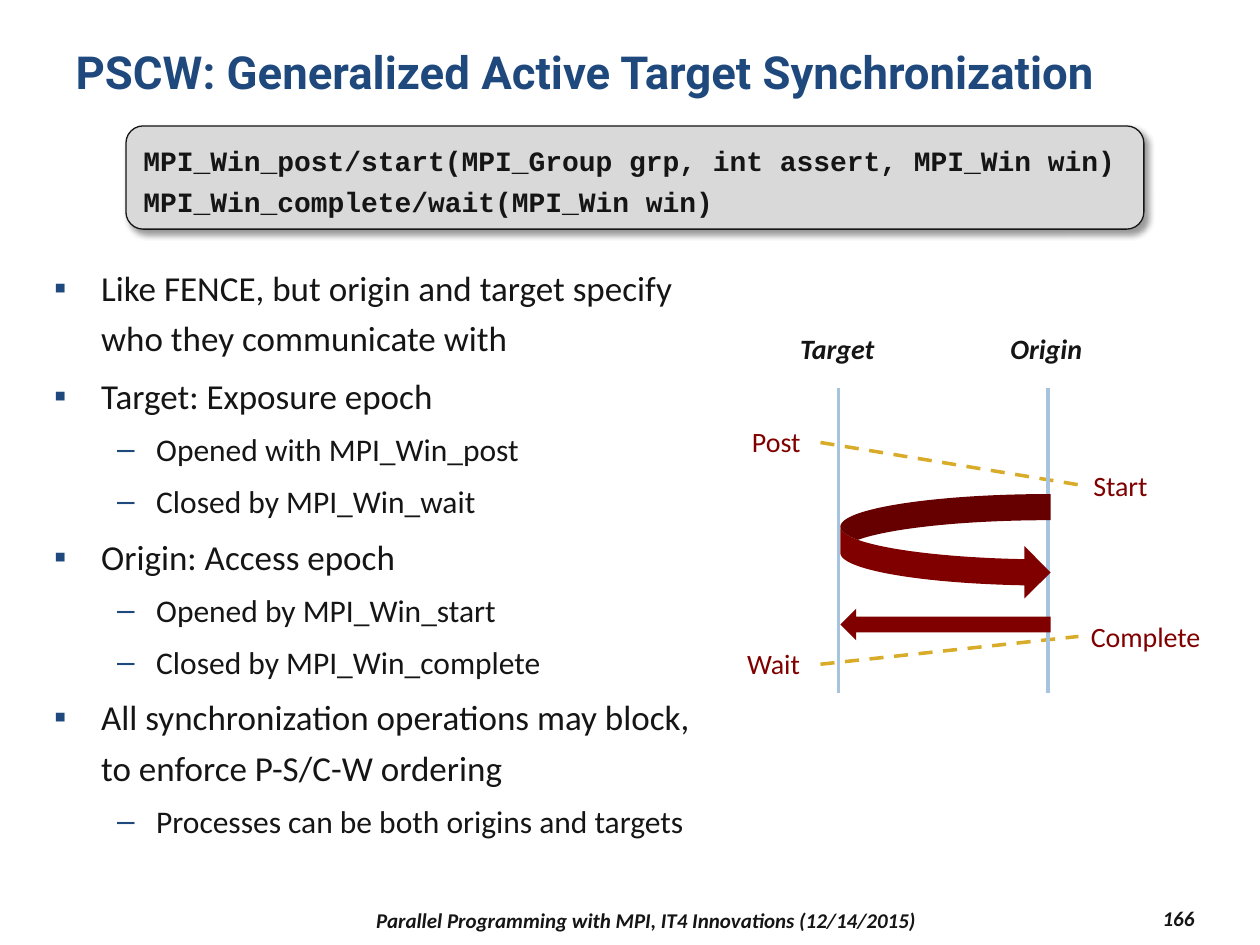
from lxml.etree import SubElement as Sub
from pptx import Presentation
from pptx.dml.color import RGBColor as Rgb
from pptx.enum.dml import MSO_LINE as Dash
from pptx.enum.shapes import MSO_CONNECTOR as Link, MSO_SHAPE as Kind
from pptx.enum.text import MSO_ANCHOR as Anchor, PP_ALIGN as Align
from pptx.oxml.ns import qn
from pptx.util import Cm, Pt

HUES = {"navy": "1F497D", "ink": "151515", "red": "800000",
        "gold": "D8AC28", "sky": "A6C4DE", "gray": "D9D9D9", "black": "000000"}
LEVELS = (("▪", 0.95, -0.95, 20), ("–", 2.06, -0.79, 18))
POINTS = (
    (0, "Like FENCE, but origin and target specify who they communicate with"),
    (0, "Target: Exposure epoch"),
    (1, "Opened with MPI_Win_post"),
    (1, "Closed by MPI_Win_wait"),
    (0, "Origin: Access epoch"),
    (1, "Opened by MPI_Win_start"),
    (1, "Closed by MPI_Win_complete"),
    (0, "All synchronization operations may block, to enforce P-S/C-W ordering"),
    (1, "Processes can be both origins and targets"),
)
CALLS = ("MPI_Win_post/start(MPI_Group grp, int assert, MPI_Win win)\n"
         "MPI_Win_complete/wait(MPI_Win win)")
FOOT = "Parallel Programming with MPI, IT4 Innovations (12/14/2015)"


def hue(name):
    """Return the named colour."""
    return Rgb.from_string(HUES[name])


def style(para, size, tint="ink", face="Calibri", bold=False, slant=False):
    """Format every run of a paragraph."""
    for run in para.runs:
        font = run.font
        font.name, font.size = face, Pt(size)
        font.bold, font.italic = bold, slant
        font.color.rgb = hue(tint)


def title(slide, text):
    """Place and format the title."""
    head = slide.shapes.title
    head.left, head.top, head.width, head.height = Cm(1.27), Cm(0.76), Cm(22.86), Cm(2.21)
    frame = head.text_frame
    frame.text = text
    frame.vertical_anchor = Anchor.TOP
    para = frame.paragraphs[0]
    para.alignment = Align.LEFT
    style(para, 26, "navy", "Roboto", True)


def label(slide, text, box, size=16, tint="ink", bold=False,
          align=Align.LEFT, anchor=Anchor.TOP, wrap=True):
    """Add a one-line text box, with bold text also slanted."""
    frame = slide.shapes.add_textbox(*map(Cm, box)).text_frame
    frame.text = text
    frame.word_wrap = wrap
    frame.vertical_anchor = anchor
    para = frame.paragraphs[0]
    para.alignment = align
    style(para, size, tint, bold=bold, slant=bold)


def bullet(para, level):
    """Give a paragraph the indent and mark of its level."""
    mark, left, hang, size = LEVELS[level]
    para.level = level
    props = para._p.get_or_add_pPr()
    props.set("marL", str(Cm(left)))
    props.set("indent", str(Cm(hang)))
    Sub(Sub(props, qn("a:buClr")), qn("a:srgbClr"), val=HUES["navy"])
    Sub(props, qn("a:buFont"), typeface="Arial")
    Sub(props, qn("a:buChar"), char=mark)
    para.line_spacing = 1.2
    style(para, size)


def outline(slide, points, box):
    """Add the bulleted text."""
    frame = slide.shapes.add_textbox(*map(Cm, box)).text_frame
    frame.word_wrap = True
    frame.text = "\n".join(text for _, text in points)
    for i, (para, (level, _)) in enumerate(zip(frame.paragraphs, points)):
        bullet(para, level)
        para.space_before = Pt(LEVELS[level][3] * 0.2 if i else 0)


def line(slide, ends, tint, dash=None):
    """Add a straight line without shadow."""
    link = slide.shapes.add_connector(Link.STRAIGHT, *map(Cm, ends))
    link.line.color.rgb = hue(tint)
    link.line.width = Pt(2)
    if dash:
        link.line.dash_style = dash
    Sub(link._element.spPr, qn("a:effectLst"))


def block(slide, kind, box, fill):
    """Add a filled shape without outline or shadow."""
    shape = slide.shapes.add_shape(kind, *map(Cm, box))
    shape.shadow.inherit = False
    shape.fill.solid()
    shape.fill.fore_color.rgb = hue(fill)
    shape.line.fill.background()
    return shape


def shade(shape):
    """Give a shape a soft drop shadow."""
    glow = Sub(shape._element.spPr.find(qn("a:effectLst")), qn("a:outerShdw"),
               blurRad=str(Pt(4)), dist=str(Pt(3)), dir="2700000",
               algn="tl", rotWithShape="0")
    tone = Sub(glow, qn("a:srgbClr"), val=HUES["black"])
    Sub(tone, qn("a:alpha"), val="40000")


def code(slide, text, box):
    """Add the rounded panel with the call signatures."""
    panel = block(slide, Kind.ROUNDED_RECTANGLE, box, "gray")
    panel.line.color.rgb = hue("ink")
    panel.line.width = Pt(0.75)
    shade(panel)
    frame = panel.text_frame
    frame.text = text
    frame.vertical_anchor = Anchor.MIDDLE
    for para in frame.paragraphs:
        para.alignment = Align.LEFT
        para.line_spacing = 1.2
        style(para, 16, face="Courier New", bold=True)


def chart(slide):
    """Draw the exchange between target and origin."""
    line(slide, (16.54, 8.92, 21.79, 9.78), "gold", Dash.DASH)
    line(slide, (16.54, 13.39, 21.74, 12.83), "gold", Dash.DASH)
    for text, left, top, width in (("Start", 21.79, 9.32, 1.75),
                                   ("Complete", 21.74, 12.37, 3.02),
                                   ("Post", 14.91, 8.43, 1.63),
                                   ("Wait", 14.81, 12.9, 1.73)):
        label(slide, text, (left, top, width, 0.94), tint="red")
    for text, axis, left, width in (("Target", 16.9, 15.88, 2.21),
                                    ("Origin", 21.13, 20.12, 2.11)):
        line(slide, (axis, 7.82, axis, 13.97), "sky")
        label(slide, text, (left, 6.55, width, 0.94), bold=True, wrap=False)
    block(slide, Kind.CURVED_RIGHT_ARROW, (16.94, 9.96, 4.24, 2.11), "red")
    block(slide, Kind.LEFT_ARROW, (16.94, 12.27, 4.24, 0.64), "red")


def main():
    """Build and save the slide."""
    deck = Presentation()
    deck.slide_width, deck.slide_height = Cm(25.4), Cm(19.05)
    slide = deck.slides.add_slide(deck.slide_layouts[5])
    title(slide, "PSCW: Generalized Active Target Synchronization")
    outline(slide, POINTS, (0.84, 5.08, 13.97, 12.5))
    chart(slide)
    code(slide, CALLS, (2.54, 2.54, 20.52, 2.08))
    label(slide, FOOT, (5.51, 18.21, 15.04, 0.69), 12, bold=True,
          align=Align.CENTER, anchor=Anchor.MIDDLE)
    label(slide, "166", (21.59, 18.16, 2.74, 0.69), 12, bold=True,
          align=Align.RIGHT, anchor=Anchor.MIDDLE)
    deck.save("out.pptx")


if __name__ == "__main__":
    main()
